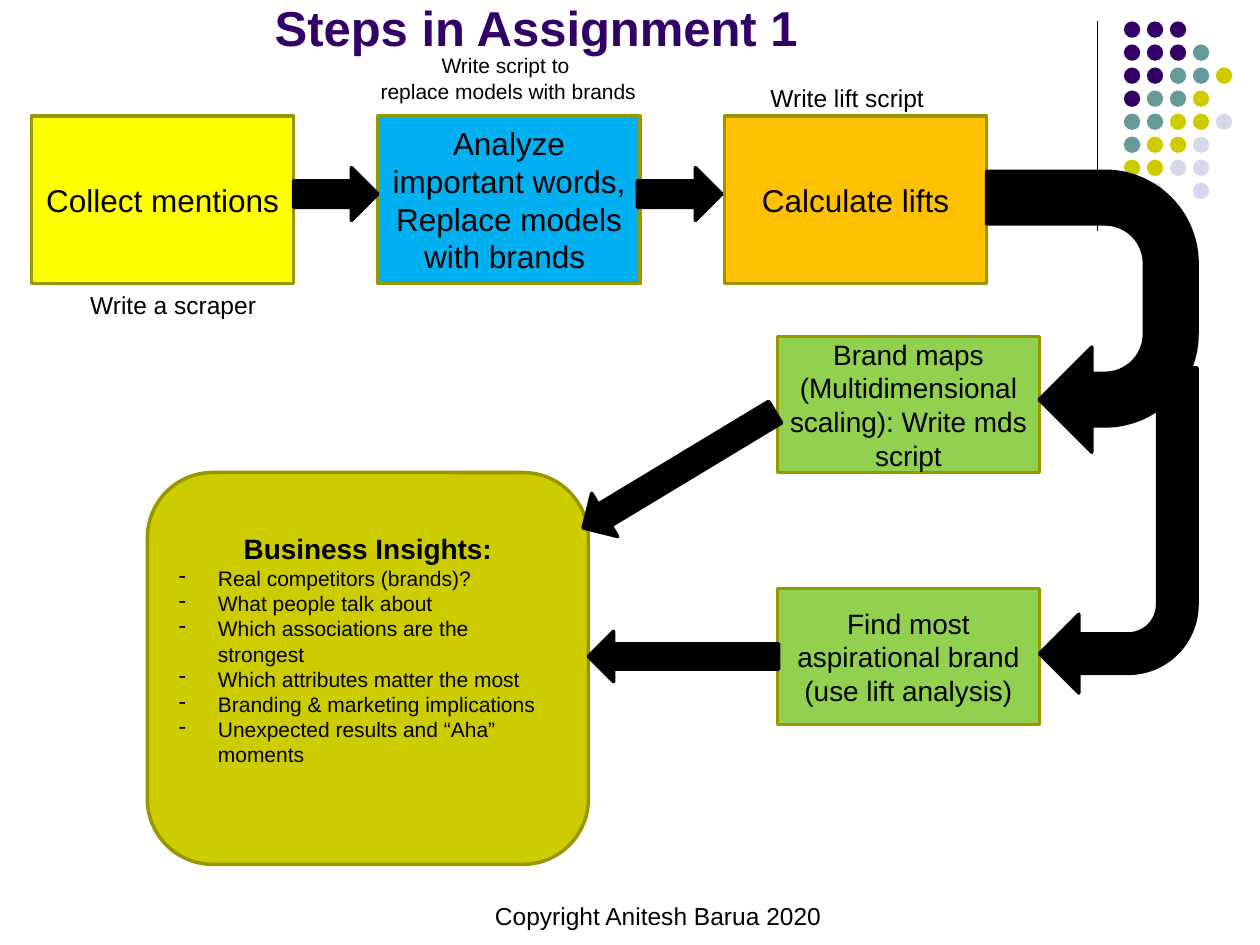
from lxml import etree
from pptx import Presentation
from pptx import util as u
from pptx.dml.color import RGBColor
from pptx.enum import shapes, text
from pptx.oxml.ns import qn

Inches = u.Inches
Kind = shapes.MSO_SHAPE
Center, Left = text.PP_ALIGN.CENTER, text.PP_ALIGN.LEFT
Top, Middle, Bottom = text.MSO_ANCHOR.TOP, text.MSO_ANCHOR.MIDDLE, text.MSO_ANCHOR.BOTTOM
colors = {
    "ink": "000000", "border": "979700", "purple": "330066", "teal": "669999",
    "olive": "CCCC00", "lilac": "D8D8EC", "yellow": "FFFF00", "blue": "00B0F0",
    "orange": "FFC000", "green": "92D050",
}


def write(frame, lines, size, align=Center, color="ink", bold=False, anchor=Top, wrap=True):
    for name, value in {"word_wrap": wrap, "vertical_anchor": anchor}.items():
        setattr(frame, name, value)
    for number, line in enumerate(lines):
        paragraph = frame.paragraphs[0] if number == 0 else frame.add_paragraph()
        paragraph.alignment = align
        run = paragraph.add_run()
        run.text = line
        font_format = {"name": "Arial", "size": u.Pt(size), "bold": bold}
        for name, value in font_format.items():
            setattr(run.font, name, value)
        run.font.color.rgb = RGBColor.from_string(colors[color])


def draw(parent, kind, box, fill, border=None, rotation=0):
    part = parent.add_shape(kind, *map(Inches, box))
    part.shadow.inherit = False
    part.rotation = rotation
    part.fill.solid()
    part.fill.fore_color.rgb = RGBColor.from_string(colors[fill])
    if border:
        part.line.color.rgb = RGBColor.from_string(colors[border])
        part.line.width = u.Pt(2)
    else:
        part.line.fill.background()
    return part


deck = Presentation()
deck.slide_width, deck.slide_height = Inches(10), Inches(7.5)
slide = deck.slides.add_slide(deck.slide_layouts[5])
canvas = slide.shapes

title = canvas.title
title_box = {"left": 2.08, "top": -0.92, "width": 8.25, "height": 1.42}
for name, value in title_box.items():
    setattr(title, name, Inches(value))
write(title.text_frame, ["Steps in Assignment 1"], 28, Left, "purple", True, Bottom)

divider = canvas.add_connector(
    shapes.MSO_CONNECTOR.STRAIGHT, Inches(8.71), Inches(0.17), Inches(8.71), Inches(1.83))
divider.line.color.rgb = RGBColor.from_string(colors["ink"])
divider.line.width = u.Pt(0.75)
etree.SubElement(divider.line._get_or_add_ln().getparent(), qn("a:effectLst"))

dot_colors = {"p": "purple", "t": "teal", "o": "olive", "l": "lilac"}
dot_rows = ["ppp", "pppt", "pptto", "ptto", "ttool", "tool", "ooll", " l l"]
dots = canvas.add_group_shape().shapes
for row, codes in enumerate(dot_rows):
    for column, code in enumerate(codes):
        if code in dot_colors:
            place = (8.92 + column * 0.73 / 4, 0.17 + row * 1.28 / 7, 0.13, 0.13)
            draw(dots, Kind.OVAL, place, dot_colors[code])

steps = [
    (0.25, 0.92, 1.33, "yellow", 18, ["Collect mentions"]),
    (3, 0.92, 1.33, "blue", 18, ["Analyze important words,", "Replace models with brands "]),
    (5.75, 0.92, 1.33, "orange", 18, ["Calculate lifts"]),
    (6.17, 2.67, 1.08, "green", 16,
     ["Brand maps", "(Multidimensional scaling): Write mds script"]),
    (6.17, 4.67, 1.08, "green", 16, ["Find most aspirational brand", "(use lift analysis)"]),
]
for left, top, height, fill, size, lines in steps:
    step = draw(canvas, Kind.RECTANGLE, (left, top, 2.08, height), fill, "border")
    write(step.text_frame, lines, size, anchor=Middle)

insights = draw(canvas, Kind.ROUNDED_RECTANGLE, (1.17, 3.75, 3.5, 3.11), "olive", "border")
insights.text_frame.margin_top = Inches(0.32)
write(insights.text_frame, ["Business Insights:"], 16, bold=True)
findings = [
    "Real competitors (brands)?",
    "What people talk about",
    "Which associations are the strongest",
    "Which attributes matter the most",
    "Branding & marketing implications",
    "Unexpected results and \u201cAha\u201d moments ",
]
for finding in findings:
    item = insights.text_frame.add_paragraph()
    item.alignment = Left
    run = item.add_run()
    run.text = finding
    for name, value in {"name": "Arial", "size": u.Pt(12), "bold": False}.items():
        setattr(run.font, name, value)
    run.font.color.rgb = RGBColor.from_string(colors["ink"])
    properties = item._p.get_or_add_pPr()
    for name, value in {"marL": Inches(0.31), "indent": Inches(-0.31)}.items():
        properties.set(name, str(value))
    etree.SubElement(properties, qn("a:buChar")).set("char", "-")

arrows = [
    (Kind.RIGHT_ARROW, (2.33, 1.33, 0.67, 0.42), 0),
    (Kind.RIGHT_ARROW, (5.06, 1.33, 0.67, 0.42), 0),
    (Kind.U_TURN_ARROW, (7.55, 1.64, 2.23, 1.67), 90),
    (Kind.BENT_ARROW, (8.25, 2.92, 1.25, 2.58), 180),
    (Kind.RIGHT_ARROW, (4.5, 3.53, 1.78, 0.4), 148.9),
    (Kind.RIGHT_ARROW, (4.67, 5.01, 1.51, 0.4), 180),
]
for kind, place, rotation in arrows:
    draw(canvas, kind, place, "ink", "ink", rotation)

captions = [
    ((0.61, 2.25, 1.53, 0.34), ["Write a scraper"], 14, Center, False),
    ((2.54, 0.37, 2.99, 0.81), ["Write script to ", "replace models with brands"],
     12, Center, False),
    ((6.01, 0.61, 1.43, 0.64), ["Write lift script"], 14, Center, False),
    ((3.83, 7.1, 4, 0.34), ["Copyright Anitesh Barua 2020"], 14, Left, True),
]
for place, lines, size, align, wrap in captions:
    caption = canvas.add_textbox(*map(Inches, place))
    write(caption.text_frame, lines, size, align, wrap=wrap)

deck.save("out.pptx")
